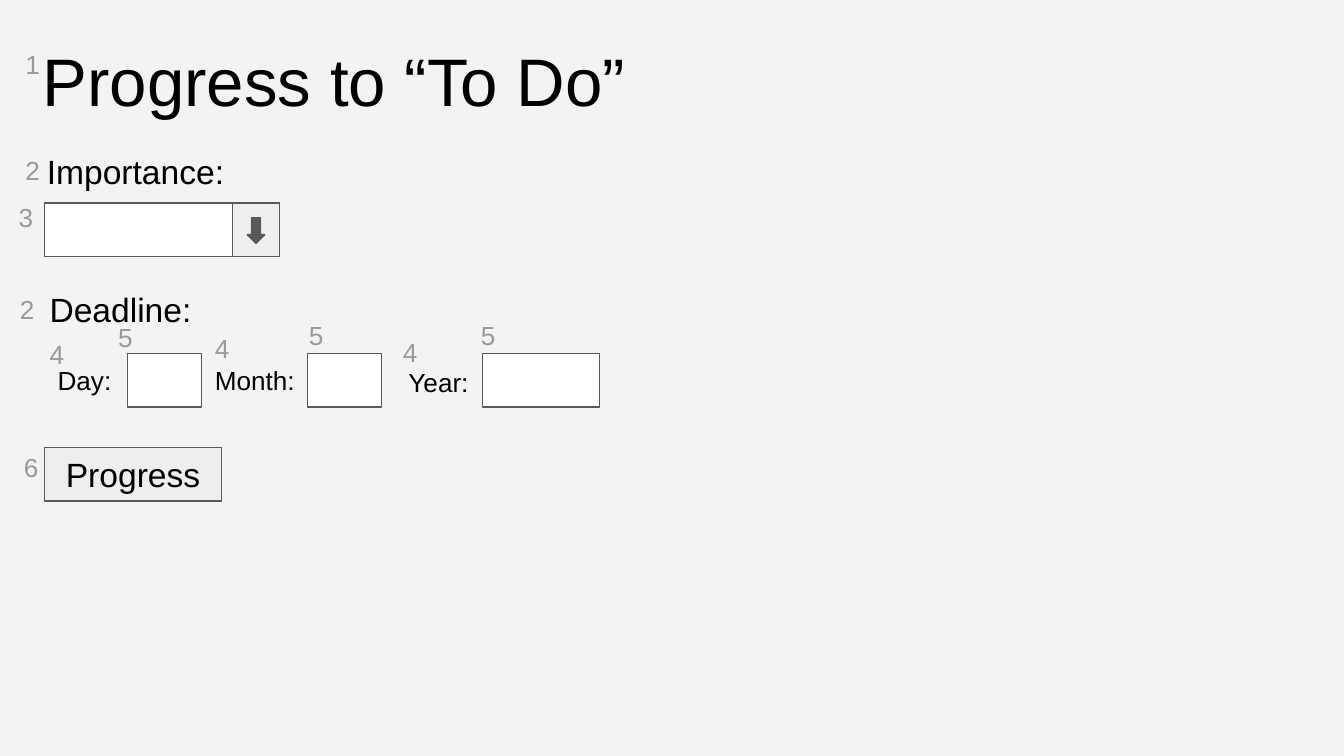
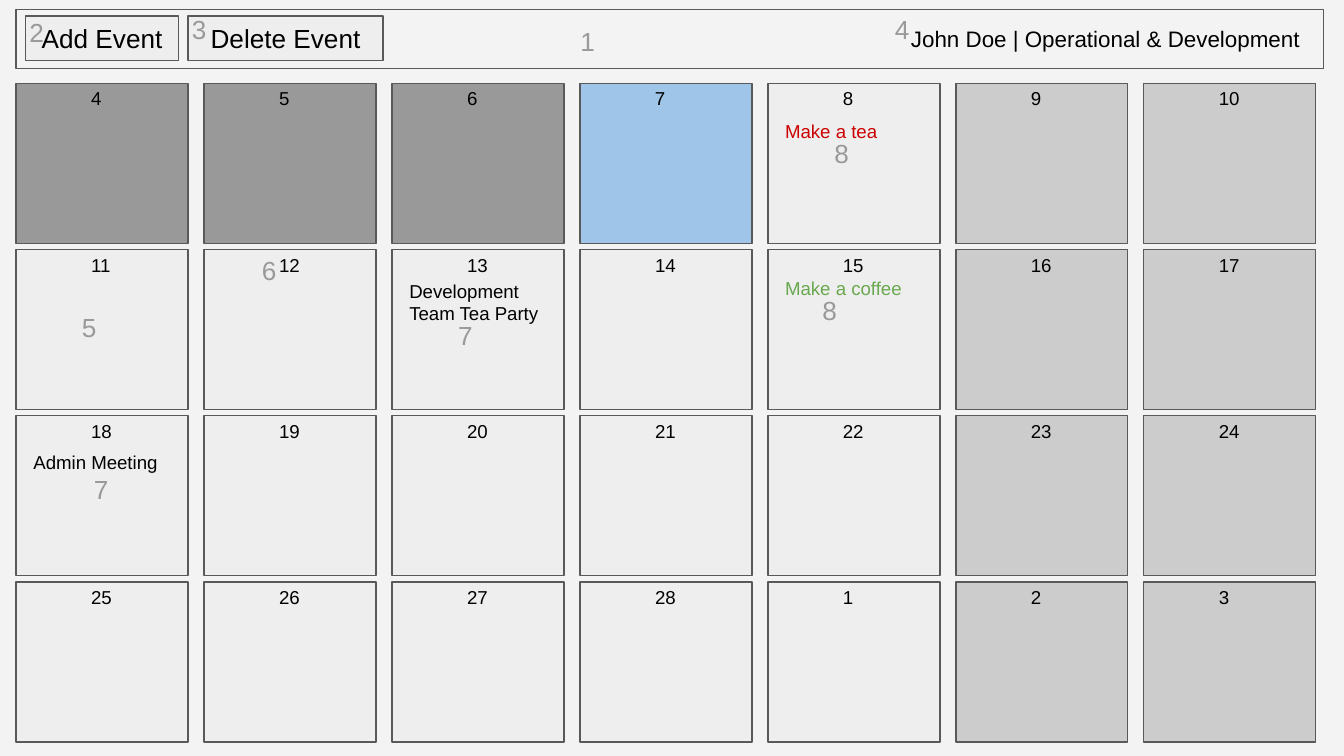
from dataclasses import dataclass
from pptx import Presentation
from pptx.dml.color import RGBColor
from pptx.enum.shapes import MSO_SHAPE
from pptx.enum.text import MSO_ANCHOR, MSO_AUTO_SIZE, PP_ALIGN
from pptx.util import Inches, Pt

RECT, ARROW = MSO_SHAPE.RECTANGLE, MSO_SHAPE.DOWN_ARROW
MIDDLE, CENTER = MSO_ANCHOR.MIDDLE, PP_ALIGN.CENTER
GROW, FIXED = MSO_AUTO_SIZE.SHAPE_TO_FIT_TEXT, MSO_AUTO_SIZE.NONE


@dataclass(frozen=True)
class Theme:
    font: str = "Arial"
    back: str = "F3F3F3"
    ink: str = "000000"
    line: str = "595959"
    mark: str = "999999"
    panel: str = "EEEEEE"
    field: str = "FFFFFF"
    past: str = "999999"
    today: str = "9FC5E8"
    rest: str = "CCCCCC"
    urgent: str = "CC0000"
    easy: str = "6AA84F"
    title: int = 36
    head: int = 18
    body: int = 14
    user: int = 12
    small: int = 10
    edge: float = 0.75


T = Theme()
WIDTH = 10
HEIGHT = WIDTH * 9 / 16

# Form content: text, place, size
LABELS = [
    ("Progress to “To Do”", (0.22, 0.19, 4.7, 0.76), T.title),
    ("Importance:", (0.25, 1.02, 2.68, 0.76), T.head),
    ("Deadline:", (0.27, 2.05, 2.98, 0.76), T.head),
    ("Day:", (0.33, 2.61, 0.76, 0.36), T.body),
    ("Month:", (1.5, 2.61, 1.13, 0.4), T.body),
    ("Year:", (2.94, 2.63, 0.92, 0.4), T.body),
]
FIELDS = [(0.33, 1.51, 1.75), (0.95, 2.63, 0.55),
          (2.29, 2.63, 0.55), (3.59, 2.63, 0.87)]
FIELD_H = 0.4
FORM_MARKS = [
    ("1", 0.09, 0.26), ("2", 0.09, 1.05), ("3", 0.04, 1.4),
    ("2", 0.05, 2.08), ("4", 0.27, 2.42), ("5", 0.78, 2.29),
    ("4", 1.5, 2.37), ("5", 2.2, 2.28), ("4", 2.9, 2.4),
    ("5", 3.48, 2.28), ("6", 0.08, 3.26),
]

# Calendar content
USER = "John Doe | Operational & Development"
BUTTONS = [("Add Event", 0.19, 1.14), ("Delete Event", 1.4, 1.45)]
DAYS = [*range(4, 29), 1, 2, 3]
WEEK, WEEKS, WORK = 7, 4, 5
PAST, TODAY = 3, 3  # count of past days, index of today
EVENTS = [  # text, column, top, height, colour
    ("Make a tea", 4, 0.81, 0.37, T.urgent),
    ("Make a coffee", 4, 1.98, 0.37, T.easy),
    ("Development Team Tea Party", 2, 1.98, 0.54, T.ink),
    ("Admin Meeting", 0, 3.27, 0.37, T.ink),
]
CAL_MARKS = [
    ("1", 4.22, 0.09), ("2", 0.12, 0.02), ("3", 1.33, 0), ("4", 6.56, 0),
    ("5", 0.51, 2.22), ("6", 1.85, 1.79), ("7", 3.31, 2.28),
    ("8", 6.02, 2.09), ("7", 0.6, 3.42), ("8", 6.11, 0.92),
]

# Day grid: first cell, last cell, cell size
LEFT, TOP, RIGHT, LOW = 0.12, 0.62, 8.51, 4.33
CELL_W, CELL_H = 1.28, 1.19
STEP_X = (RIGHT - LEFT) / (WEEK - 1)
STEP_Y = (LOW - TOP) / (WEEKS - 1)


def color(code):
    return RGBColor.from_string(code)


def write(shape, words, size, ink):
    frame = shape.text_frame
    frame.word_wrap = True
    frame.margin_left = frame.margin_right = Inches(0.1)
    frame.margin_top = frame.margin_bottom = Inches(0.1)
    para = frame.paragraphs[0]
    para.text = words
    font = para.runs[0].font
    font.name, font.size = T.font, Pt(size)
    font.color.rgb = color(ink)
    return frame


def text(slide, words, place, size, ink=T.ink, fit=FIXED):
    box = slide.shapes.add_textbox(*map(Inches, place))
    write(box, words, size, ink).auto_size = fit


def block(slide, place, fill, kind=RECT):
    shape = slide.shapes.add_shape(kind, *map(Inches, place))
    shape.shadow.inherit = False
    shape.fill.solid()
    shape.fill.fore_color.rgb = color(fill)
    shape.line.color.rgb = color(T.line)
    shape.line.width = Pt(T.edge)
    return shape


def button(slide, words, place, size):
    frame = write(block(slide, place, T.panel), words, size, T.ink)
    frame.vertical_anchor = MIDDLE
    frame.paragraphs[0].alignment = CENTER


def add_marks(slide, marks):
    for num, x, y in marks:
        text(slide, num, (x, y, 0.49, 0.53), T.body, T.mark)


def add_slide(deck):
    slide = deck.slides.add_slide(deck.slide_layouts[6])
    fill = slide.background.fill
    fill.solid()
    fill.fore_color.rgb = color(T.back)
    return slide


def shade(i):
    if i < PAST:
        return T.past
    if i == TODAY:
        return T.today
    return T.panel if i % WEEK < WORK else T.rest


def make_form(deck):
    slide = add_slide(deck)
    for x, y, w in FIELDS:
        block(slide, (x, y, w, FIELD_H), T.field)
    # Drop-down handle
    block(slide, (1.73, 1.51, 0.35, FIELD_H), T.panel)
    block(slide, (1.84, 1.62, 0.13, 0.19), T.line, ARROW)
    for label in LABELS:
        text(slide, *label)
    button(slide, "Progress", (0.33, 3.33, 1.32, FIELD_H), T.head)
    add_marks(slide, FORM_MARKS)


def make_cal(deck):
    slide = add_slide(deck)
    # Top bar
    block(slide, (LEFT, 0.07, 9.73, 0.44), T.back)
    text(slide, USER, (6.68, 0.09, 4.23, 0.4), T.user)
    for words, x, w in BUTTONS:
        button(slide, words, (x, 0.12, w, 0.33), T.body)
    # Days
    for i, day in enumerate(DAYS):
        row, col = divmod(i, WEEK)
        x, y = LEFT + col * STEP_X, TOP + row * STEP_Y
        block(slide, (x, y, CELL_W, CELL_H), shade(i))
        wide = 0.26 if day < 10 else 0.49
        text(slide, str(day), (x + 0.46, y - 0.07, wide, 0.27), T.small)
    # Events
    for words, col, y, h, ink in EVENTS:
        x = LEFT + col * STEP_X + 0.03
        text(slide, words, (x, y, 1.21, h), T.small, ink, GROW)
    add_marks(slide, CAL_MARKS)


def main():
    deck = Presentation()
    deck.slide_width, deck.slide_height = Inches(WIDTH), Inches(HEIGHT)
    make_form(deck)
    make_cal(deck)
    deck.save("out.pptx")


if __name__ == "__main__":
    main()
